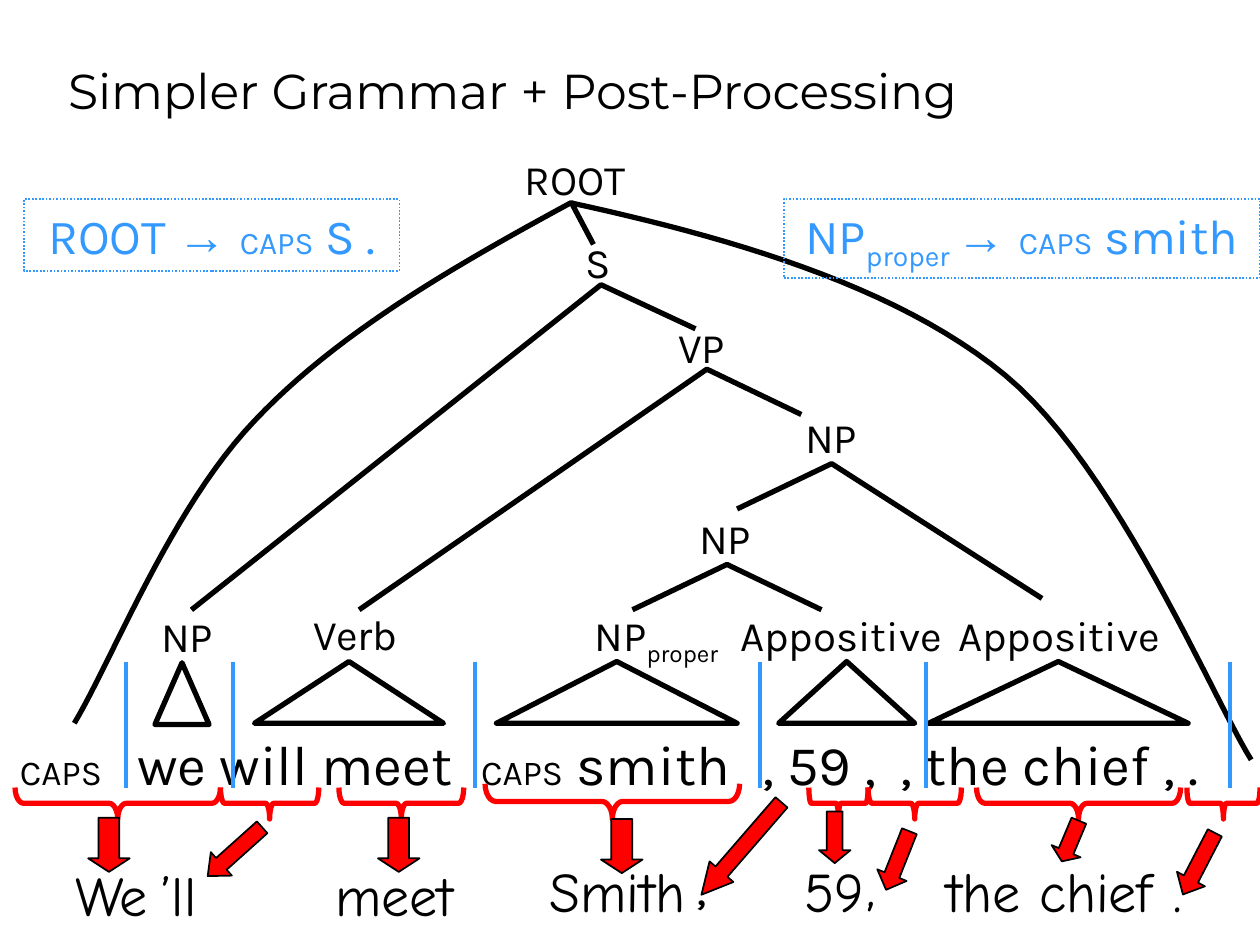
"""Build the slide on a simpler grammar with post-processing."""
from pptx import Presentation, util as u
from pptx.dml.color import RGBColor
from pptx.enum import dml, shapes as sh, text as tx
from lxml import etree

PX = 9144
BLACK = RGBColor(0, 0, 0)
RED = RGBColor(255, 0, 0)
BLUE = RGBColor(0x33, 0x99, 0xFF)
KARLA, COMIC = "Karla", "Comic Neue"
NS = "http://schemas.openxmlformats.org/drawingml/2006/main"

TITLE = "Simpler Grammar + Post-Processing"
NODES = [
    (401, 117, 111, "ROOT"), (455, 183, 38, "S"), (527, 250, 60, "VP"),
    (627, 322, 65, "NP"), (543, 402, 65, "NP"), (116, 480, 65, "NP"),
    (236, 478, 93, "Verb"), (576, 479, 183, "Appositive"),
    (749, 479, 183, "Appositive"),
]
PROPER = [("NP", 24, KARLA, False), ("proper", 24, KARLA, True)]
RULES = [
    (19, 158, 298, 57, [("ROOT ", 28, KARLA, False), ("→ ", 28, "Arial", False),
                        ("CAPS", 18, KARLA, False), (" S .", 28, KARLA, False)]),
    (622, 158, 378, 63, [("NP", 28, KARLA, False), ("proper ", 28, KARLA, True),
                         ("→ ", 28, "Arial", False), ("CAPS", 18, KARLA, False),
                         (" smith", 28, KARLA, False)]),
]
WORDS = [("CAPS", 20), ("\twe will meet", 32), ("\tCAPS", 20), (" smith", 32),
         ("\t, 59 ,\t, the chief , .", 32)]
TABS = [93, 366, 589, 699]
OUTPUT = [
    (48, 678, 81, "We", 32, COMIC), (112, 678, 60, "’ll", 32, COMIC),
    (256, 678, 114, "meet", 32, COMIC), (426, 675, 128, "Smith", 32, COMIC),
    (542, 675, 30, ",", 28, KARLA), (628, 675, 68, "59", 32, COMIC),
    (678, 670, 27, ",", 32, COMIC), (741, 675, 184, "the chief", 32, COMIC),
    (921, 675, 27, ".", 32, COMIC),
]
EDGES = [
    [(471, 194), (453, 160)],
    [(552, 261), (477, 226), (152, 484)],
    [(636, 329), (561, 293), (285, 484)],
    [(585, 404), (660, 368), (827, 475)],
    [(502, 484), (577, 448), (652, 484)],
]
ARC = [(993, 603), (962, 553), (886, 371), (798, 298), (710, 225), (572, 187),
       (453, 161), (359, 212), (267, 265), (202, 334), (136, 403), (89, 524),
       (59, 574)]
ROOFS = [(123, 526, 43), (202, 525, 150), (394, 525, 191), (618, 525, 108),
         (737, 525, 206)]
BARS = [100, 185, 377, 603, 735, 976]
BRACES = [(12, 175, 25), (175, 253, 25), (269, 368, 25), (385, 587, 28),
          (642, 689, 25), (689, 763, 25), (775, 937, 25), (942, 1000, 25)]
ARROWS = [
    (70, 649, 33, 43, 0), (174, 647, 25, 58, 48.1), (300, 649, 33, 43, 0),
    (477, 650, 33, 43, 0), (576, 625, 25, 97, 40.9), (650, 644, 25, 41, 0),
    (700, 658, 25, 50, 21.7), (837, 650, 25, 35, 22.8), (939, 658, 25, 55, 27.4),
]

deck = Presentation()
deck.slide_width, deck.slide_height = 1000 * PX, 750 * PX
slide = deck.slides.add_slide(deck.slide_layouts[5])
pool = slide.shapes


def scale(*nums):
    return [round(n * PX) for n in nums]


def write(para, part, size, font, color=BLACK, sub=False):
    run = para.add_run()
    run.text = part
    run.font.size, run.font.name = u.Pt(size), font
    run.font.color.rgb = color
    if sub:
        run.font._element.set("baseline", "-25000")


def fill_in(box, runs, color=BLACK):
    frame = box.text_frame
    frame.word_wrap = False
    frame.auto_size = tx.MSO_AUTO_SIZE.SHAPE_TO_FIT_TEXT
    frame.vertical_anchor = tx.MSO_ANCHOR.TOP
    para = frame.paragraphs[0]
    para.alignment = tx.PP_ALIGN.CENTER
    for part, size, font, sub in runs:
        write(para, part, size, font, color, sub)


def label(x, y, w, h, runs):
    fill_in(pool.add_textbox(*scale(x, y, w, h)), runs)


def style(form, color, width, fill=None):
    form.shadow.inherit = False
    if fill is None:
        form.fill.background()
    else:
        form.fill.solid()
        form.fill.fore_color.rgb = fill
    form.line.color.rgb = color
    form.line.width = u.Pt(width)


def preset(kind, x, y, w, h, color, width, fill=None):
    form = pool.add_shape(kind, *scale(x, y, w, h))
    style(form, color, width, fill)
    return form


def trace(points):
    knots = [scale(*point) for point in points]
    pen = pool.build_freeform(*knots[0])
    pen.add_line_segments(knots[1:], close=False)
    style(pen.convert_to_shape(), BLACK, 3)


def bend(knots, steps=24):
    points = [knots[0]]
    for i in range(0, len(knots) - 1, 3):
        for n in range(1, steps + 1):
            t = n / steps
            mix = ((1 - t) ** 3, 3 * t * (1 - t) ** 2, 3 * t * t * (1 - t), t ** 3)
            points.append(tuple(sum(m * k[d] for m, k in zip(mix, knots[i:i + 4]))
                                for d in (0, 1)))
    return points


title = pool.title
title.left, title.top, title.width, title.height = scale(44, -25, 850, 125)
frame = title.text_frame
frame.auto_size, frame.word_wrap = tx.MSO_AUTO_SIZE.NONE, True
frame.vertical_anchor = tx.MSO_ANCHOR.BOTTOM
frame.paragraphs[0].alignment = tx.PP_ALIGN.LEFT
write(frame.paragraphs[0], TITLE, 28, "Montserrat")

line = pool.add_textbox(*scale(6, 574, 990, 64)).text_frame
line.word_wrap = True
para = line.paragraphs[0]
stops = etree.SubElement(para._p.get_or_add_pPr(), f"{{{NS}}}tabLst")
for stop in TABS:
    etree.SubElement(stops, f"{{{NS}}}tab", pos=str(stop * PX), algn="l")
for part, size in WORDS:
    write(para, part, size, KARLA)

for x, y, w, name in NODES:
    label(x, y, w, 50, [(name, 24, KARLA, False)])
label(457, 479, 128, 56, PROPER)
for points in EDGES + [bend(ARC)]:
    trace(points)
for x, y, w in ROOFS:
    preset(sh.MSO_SHAPE.ISOSCELES_TRIANGLE, x, y, w, 49, BLACK, 3)

for x in BARS:
    bar = pool.add_connector(sh.MSO_CONNECTOR.STRAIGHT, *scale(x, 525, x, 625))
    bar.line.color.rgb, bar.line.width = BLUE, u.Pt(2.25)
    etree.SubElement(bar._element.spPr, f"{{{NS}}}effectLst")
for x, end, deep in BRACES:
    span = end - x
    brace = preset(sh.MSO_SHAPE.LEFT_BRACE, (x + end - deep) / 2,
                   650 - (deep + span) / 2, deep, span, RED, 3)
    brace.rotation = 270
    brace.adjustments[0] = span / 24 / deep
for x, y, w, h, turn in ARROWS:
    arrow = preset(sh.MSO_SHAPE.DOWN_ARROW, x, y, w, h, BLACK, 1, RED)
    arrow.rotation = turn
    arrow.adjustments[1] = h / 4 / w
for x, y, w, word, size, font in OUTPUT:
    label(x, y, w, 64, [(word, size, font, False)])
for x, y, w, h, runs in RULES:
    rule = preset(sh.MSO_SHAPE.RECTANGLE, x, y, w, h, BLUE, 1)
    rule.line.dash_style = dml.MSO_LINE.ROUND_DOT
    fill_in(rule, runs, BLUE)

deck.save("out.pptx")
